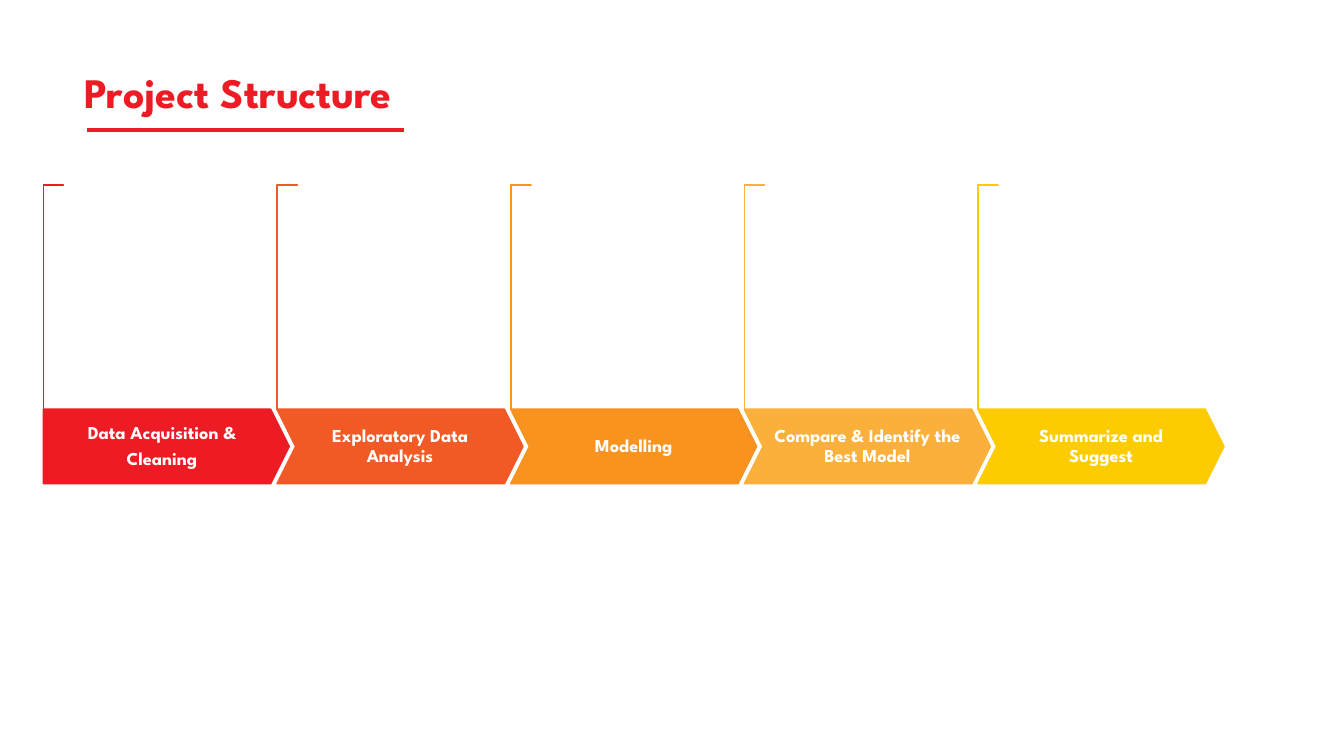
from lxml import etree
from pptx import Presentation
from pptx.dml.color import RGBColor
from pptx.enum.shapes import MSO_CONNECTOR, MSO_SHAPE
from pptx.enum.text import MSO_ANCHOR, PP_ALIGN
from pptx.oxml.ns import qn
from pptx.util import Inches, Pt

LINE = MSO_CONNECTOR.STRAIGHT
CORNER = MSO_SHAPE.CORNER
FIRST = MSO_SHAPE.PENTAGON
NEXT = MSO_SHAPE.CHEVRON
MIDDLE = MSO_ANCHOR.MIDDLE
LEFT = PP_ALIGN.LEFT
CENTER = PP_ALIGN.CENTER

FONT = "League Spartan"
RED = "ED1C24"
WHITE = "FFFFFF"
STEPS = [
    (["Data Acquisition &", "Cleaning"], RED),
    (["Exploratory Data Analysis"], "F15A24"),
    (["Modelling"], "F7931E"),
    (["Compare & Identify the Best Model"], "FBB03B"),
    (["Summarize and Suggest"], "FCCB00"),
]


def color(code):
    """Turn a hex string into a colour."""
    return RGBColor.from_string(code)


def add_text(slide, box, lines, size, ink, align, pad=0.05, after=0):
    """Place bold text, one paragraph per line, in the middle of a box."""
    frame = slide.shapes.add_textbox(*map(Inches, box)).text_frame
    frame.word_wrap = True
    frame.vertical_anchor = MIDDLE
    frame.margin_top = frame.margin_bottom = Inches(pad)
    for i, line in enumerate(lines):
        para = frame.add_paragraph() if i else frame.paragraphs[0]
        para.alignment = align
        para.line_spacing = 0.9
        para.space_after = Pt(after)
        run = para.add_run()
        run.text = line
        run.font.name = FONT
        run.font.size = Pt(size)
        run.font.bold = True
        run.font.color.rgb = color(ink)


def add_form(slide, kind, box, fill, line, adjust):
    """Place a preset shape with a thin outline."""
    form = slide.shapes.add_shape(kind, *map(Inches, box))
    form.shadow.inherit = False
    for i, value in enumerate(adjust):
        form.adjustments[i] = value
    form.fill.solid()
    form.fill.fore_color.rgb = color(fill)
    form.line.color.rgb = color(line)
    form.line.width = Pt(1)
    return form


def add_title(slide, x, y, w, h):
    """Place the heading and the rule below it."""
    add_text(slide, (x, y, w, h), ["Project Structure"], 30, RED, LEFT)
    ends = (x + 0.12, y + 1.07, x + 3.27, y + 1.07)
    rule = slide.shapes.add_connector(LINE, *map(Inches, ends))
    rule.line.color.rgb = color(RED)
    rule.line.width = Pt(3)
    etree.SubElement(rule._element.spPr, qn("a:effectLst"))


def add_step(slide, x, y, w, h, lines, hue, first):
    """Place one arrow with its label and the bracket above it."""
    tall, wide = 2.23, 0.2
    mid = y - 1.11
    box = (x + (wide - tall) / 2, mid - wide / 2, tall, wide)
    add_form(slide, CORNER, box, WHITE, hue, (0.01, 0.01)).rotation = 90
    kind = FIRST if first else NEXT
    add_form(slide, kind, (x, y, w, h), hue, hue, (0.25,))
    inset, trim = (0, 0.09) if first else (0.185, 0.37)
    label = (x + inset, y, w - trim, h)
    add_text(slide, label, lines, 13, WHITE, CENTER, 0.18, 4.5)


def add_flow(slide, x, y, w, h):
    """Place the steps side by side at an equal pitch."""
    size = 2.44
    pitch = (w - size) / (len(STEPS) - 1)
    for i, (lines, hue) in enumerate(STEPS):
        add_step(slide, x + i * pitch, y, size, h, lines, hue, i == 0)


def main():
    """Build the slide and save it."""
    deck = Presentation()
    deck.slide_width = Inches(13.33)
    deck.slide_height = Inches(7.5)
    slide = deck.slides.add_slide(deck.slide_layouts[6])
    add_title(slide, 0.74, 0.22, 11.71, 1.45)
    add_flow(slide, 0.43, 4.06, 11.71, 0.74)
    deck.save("out.pptx")


if __name__ == "__main__":
    main()
